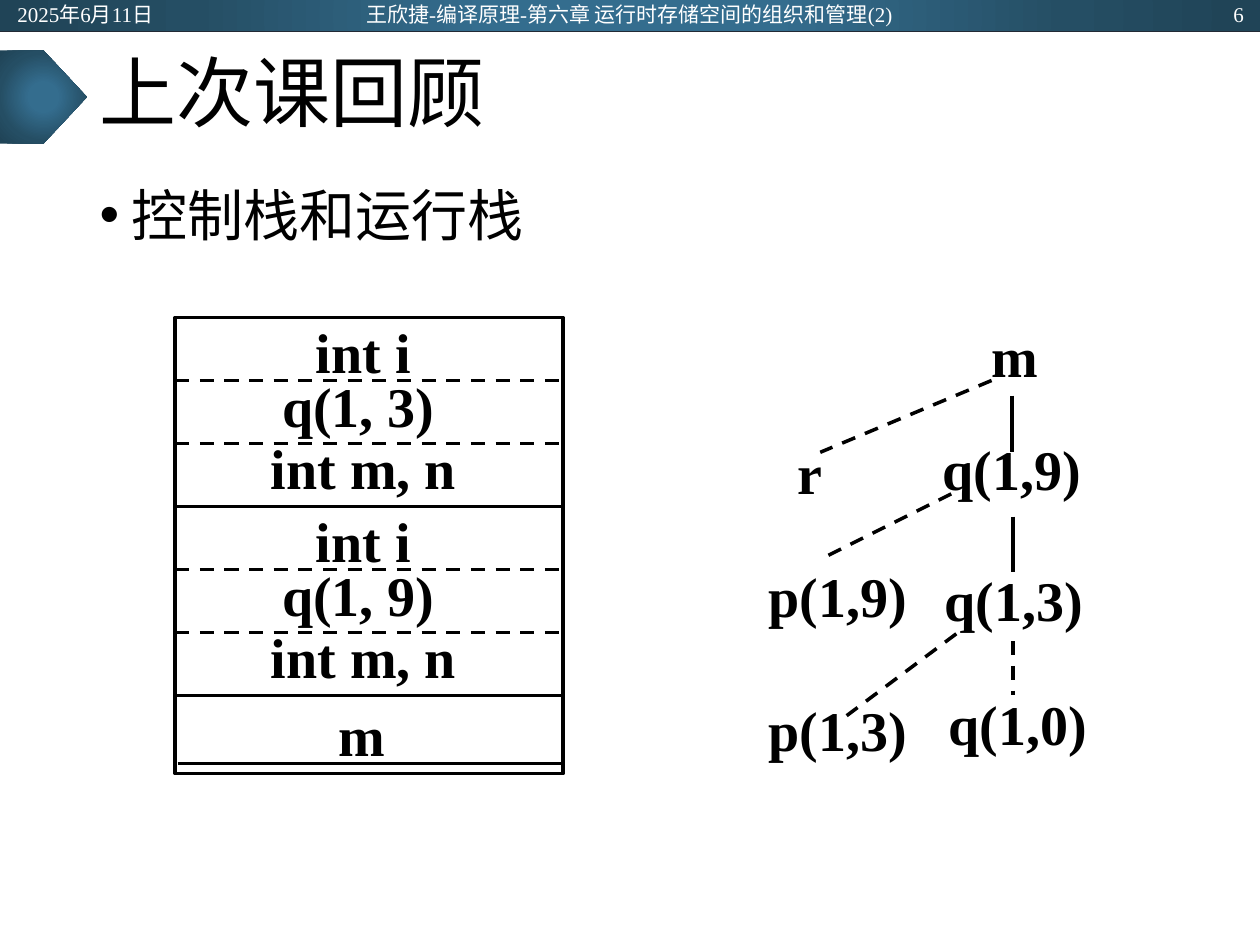
from dataclasses import dataclass

import lxml.etree
import pptx
import pptx.dml.color
import pptx.enum.dml
import pptx.enum.shapes
import pptx.enum.text
import pptx.oxml
import pptx.oxml.ns
import pptx.util

Inches = pptx.util.Inches
Align = pptx.enum.text.PP_ALIGN
Anchor = pptx.enum.text.MSO_ANCHOR
Preset = pptx.enum.shapes.MSO_SHAPE
qn = pptx.oxml.ns.qn


@dataclass(frozen=True)
class Theme:
    font: str = "Times New Roman"
    ink: str = "000000"
    light: str = "FFFFFF"
    header_rule: str = "222A35"
    gradient: tuple = ((0, "346D8E"), (23, "346D8E"), (69, "254E64"), (97, "204457"))
    title_size: int = 44
    text_size: int = 32
    header_size: int = 12
    line_width: float = 2
    rule_width: float = 0.5


@dataclass(frozen=True)
class Box:
    left: float
    top: float
    width: float
    height: float

    def inner(self, left, top, width, height):
        return Box(self.left + left, self.top + top, width, height)

    def lengths(self):
        return [Inches(v) for v in (self.left, self.top, self.width, self.height)]


THEME = Theme()


def rgb(value):
    return pptx.dml.color.RGBColor.from_string(value)


def style_paragraph(para, size, color, bold=False, align=Align.LEFT):
    para.alignment = align
    for span in para.runs:
        span.font.name = THEME.font
        span.font.size = pptx.util.Pt(size)
        span.font.bold = bold
        span.font.color.rgb = rgb(color)


def add_text(page, box, text, size=THEME.text_size, color=THEME.ink, bold=True,
             align=Align.LEFT, anchor=Anchor.TOP, wrap=True):
    frame = page.shapes.add_textbox(*box.lengths()).text_frame
    frame.word_wrap = wrap
    frame.vertical_anchor = anchor
    frame.text = text
    style_paragraph(frame.paragraphs[0], size, color, bold, align)
    return frame


def add_line(page, box, start, end, dashed=False,
             color=THEME.ink, width=THEME.line_width):
    line = page.shapes.add_connector(
        pptx.enum.shapes.MSO_CONNECTOR.STRAIGHT,
        Inches(box.left + start[0]), Inches(box.top + start[1]),
        Inches(box.left + end[0]), Inches(box.top + end[1]))
    line.line.color.rgb = rgb(color)
    line.line.width = pptx.util.Pt(width)
    if dashed:
        line.line.dash_style = pptx.enum.dml.MSO_LINE.DASH
    lxml.etree.SubElement(line._element.spPr, qn("a:effectLst"))


def add_glow_shape(page, preset, box):
    shape = page.shapes.add_shape(preset, *box.lengths())
    shape.shadow.inherit = False
    shape.line.fill.background()
    stops = "".join(f'<a:gs pos="{pos * 1000}"><a:srgbClr val="{color}"/></a:gs>'
                    for pos, color in THEME.gradient)
    fill = pptx.oxml.parse_xml(
        f'<a:gradFill {pptx.oxml.ns.nsdecls("a")} rotWithShape="1">'
        f'<a:gsLst>{stops}</a:gsLst><a:path path="circle">'
        '<a:fillToRect l="50000" t="50000" r="50000" b="50000"/>'
        '</a:path></a:gradFill>')
    shape._element.spPr.find(qn("a:prstGeom")).addnext(fill)


def add_frame(page, box):
    frame = page.shapes.add_shape(Preset.RECTANGLE, *box.lengths())
    frame.shadow.inherit = False
    frame.fill.background()
    frame.line.color.rgb = rgb(THEME.ink)
    frame.line.width = pptx.util.Pt(THEME.line_width)


def build_header(page, box):
    add_glow_shape(page, Preset.RECTANGLE, box)
    add_line(page, box, (0, box.height), (box.width, box.height),
             color=THEME.header_rule, width=THEME.rule_width)
    labels = (
        ("2025年6月11日", box.inner(0.04, 0.01, 2.25, 0.2), Align.LEFT),
        ("王欣捷-编译原理-第六章 运行时存储空间的组织和管理(2)",
         box.inner(2.53, -0.03, 4.93, 0.28), Align.CENTER),
        ("6", box.inner(7.72, 0.01, 2.25, 0.2), Align.RIGHT),
    )
    for text, place, align in labels:
        add_text(page, place, text, THEME.header_size, THEME.light, False,
                 align, Anchor.MIDDLE)


def place(holder, box):
    holder.left, holder.top, holder.width, holder.height = box.lengths()


def build_title(page, box, text):
    title = page.shapes.title
    place(title, box)
    title.text_frame.text = text
    title.text_frame.vertical_anchor = Anchor.MIDDLE
    para = title.text_frame.paragraphs[0]
    para.line_spacing = 0.9
    style_paragraph(para, THEME.title_size, THEME.ink)


def build_body(page, box, text):
    body = page.placeholders[1]
    place(body, box)
    body.text_frame.text = text
    para = body.text_frame.paragraphs[0]
    para.space_before = pptx.util.Pt(0)
    properties = para._p.get_or_add_pPr()
    properties.set("marL", str(Inches(0.25)))
    properties.set("indent", str(-Inches(0.25)))
    style_paragraph(para, THEME.text_size, THEME.ink)


def build_record(page, box, call):
    add_frame(page, box)
    row = box.height / 3
    for y in (row, 2 * row):
        add_line(page, box, (0, y), (box.width - 0.02, y), dashed=True)
    for text, x, y, width in (("int i", 1.02, -0.05, 0.96),
                              (call, 0.75, 0.38, 1.41),
                              ("int m, n", 0.66, 0.87, 1.68)):
        add_text(page, box.inner(x, y, width, 0.64), text, wrap=False)


def build_stack(page, box):
    record_height = 1.5
    calls = ("q(1, 3)", "q(1, 9)")
    for index, call in enumerate(calls):
        build_record(page, box.inner(0, index * record_height, box.width,
                                     record_height), call)
    top = len(calls) * record_height
    base = box.inner(0, top, box.width, box.height - top)
    add_frame(page, base)
    frame = add_text(page, base.inner(0.02, -0.05, 2.93, 0.77), "m",
                     align=Align.CENTER)
    frame.margin_top = Inches(0.09)
    add_line(page, base, (0.02, 0.54), (base.width, 0.54))


def build_call_tree(page, box):
    nodes = (("m", 1.77, 0, 0.72), ("q(1,9)", 1.38, 0.9, 1.41),
             ("r", 0.23, 0.93, 0.72), ("p(1,9)", 0, 1.91, 1.41),
             ("q(1,3)", 1.4, 1.94, 1.41), ("q(1,0)", 1.43, 2.92, 1.41),
             ("p(1,3)", 0, 2.97, 1.41))
    edges = (((2.03, 0.64), (2.03, 1.09), False),
             ((1.87, 0.52), (0.51, 1.09), True),
             ((1.55, 1.42), (0.51, 1.94), True),
             ((2.04, 1.6), (2.04, 2.04), False),
             ((2.04, 2.59), (2.04, 3.02), True),
             ((1.59, 2.53), (0.72, 3.18), True))
    for text, x, y, width in nodes:
        add_text(page, box.inner(x, y, width, 0.78), text)
    for start, end, dashed in edges:
        add_line(page, box, start, end, dashed)


def main():
    deck = pptx.Presentation()
    deck.slide_width, deck.slide_height = Inches(10), Inches(7.5)
    page = deck.slides.add_slide(deck.slide_layouts[1])
    build_header(page, Box(0, 0, 10, 0.25))
    add_glow_shape(page, Preset.PENTAGON, Box(0, 0.4, 0.69, 0.74))
    build_title(page, Box(0.69, 0.25, 8.62, 1.04), "上次课回顾")
    build_body(page, Box(0.69, 1.38, 8.62, 5.38), "控制栈和运行栈")
    build_call_tree(page, Box(6, 2.5, 2.84, 3.75))
    build_stack(page, Box(1.39, 2.52, 3.08, 3.62))
    deck.save("out.pptx")


if __name__ == "__main__":
    main()
